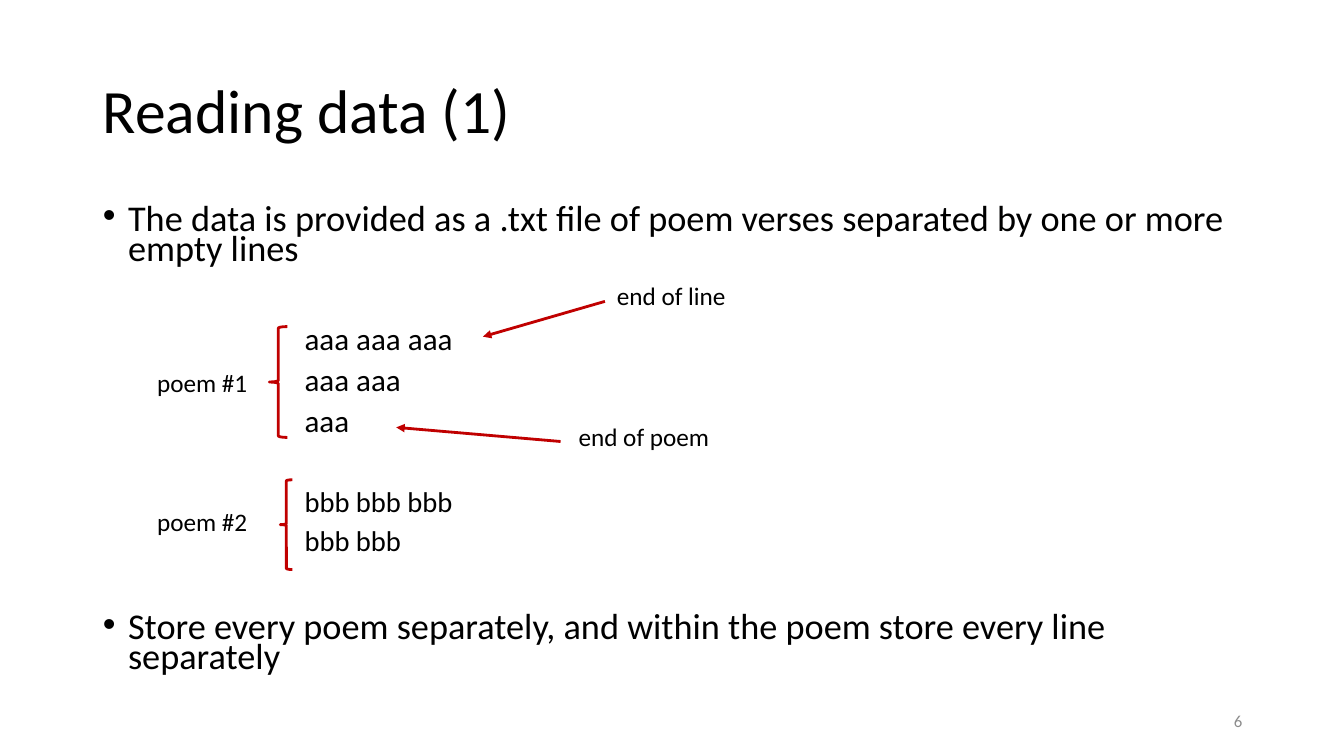
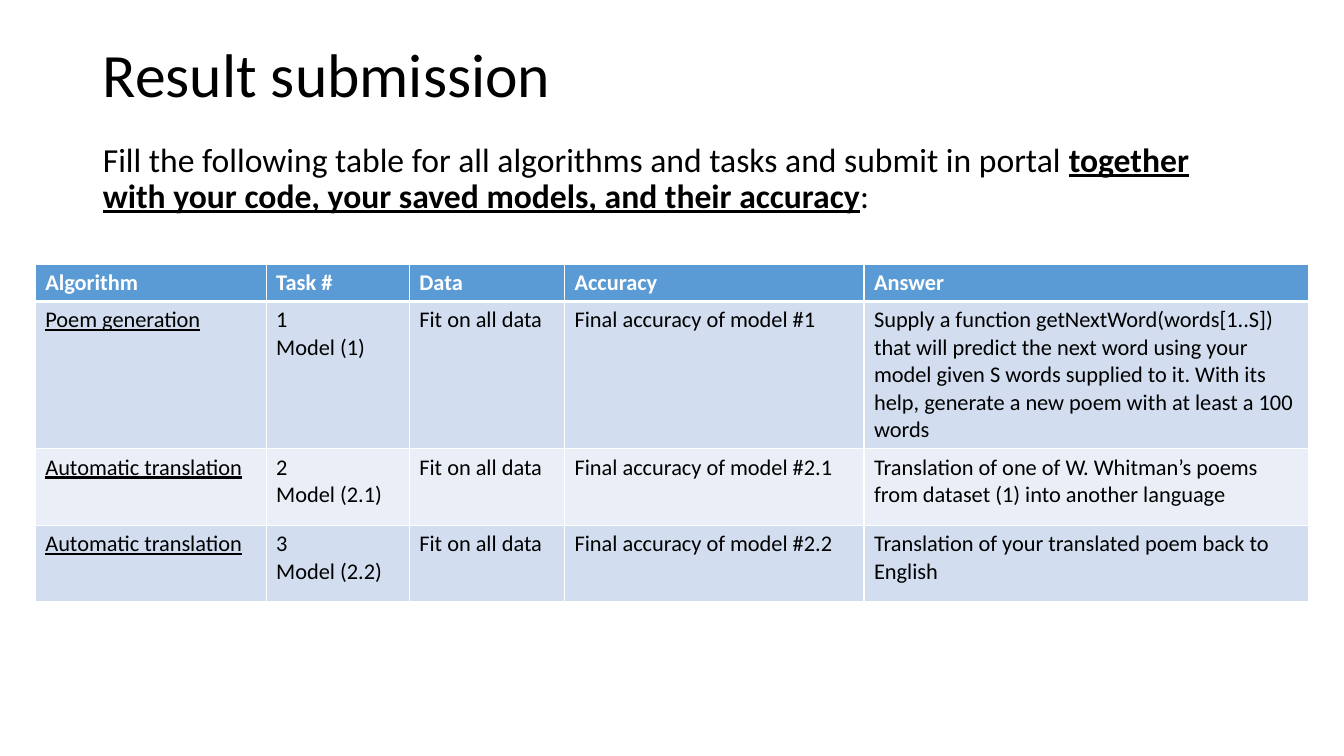
from dataclasses import dataclass
from typing import NamedTuple

from lxml import etree
from pptx import Presentation
from pptx import util as u
from pptx.dml.color import RGBColor
from pptx.enum import shapes, text
from pptx.oxml import ns

# Shared style
FONT = "Calibri"
BLACK = RGBColor(0x00, 0x00, 0x00)
WHITE = RGBColor(0xFF, 0xFF, 0xFF)
GREY = RGBColor(0x8C, 0x8C, 0x8C)
RED = RGBColor(0xC0, 0x00, 0x00)
HEADER_BLUE = RGBColor(0x5B, 0x9B, 0xD5)
BAND_COLORS = (RGBColor(0xD2, 0xDE, 0xEF), RGBColor(0xEA, 0xEF, 0xF7))
CONTENT_LEFT, CONTENT_WIDTH = 0.92, 11.5
TITLE_HEIGHT, BODY_HEIGHT = 1.45, 4.76


class Box(NamedTuple):
    left: float
    top: float
    width: float
    height: float

    def lengths(self) -> list:
        return [u.Inches(value) for value in self]


class Arrow(NamedTuple):
    start: tuple[float, float]
    end: tuple[float, float]


class Label(NamedTuple):
    wording: str
    box: Box


@dataclass
class Run:
    wording: str
    size: float
    color: RGBColor = BLACK
    bold: bool = False
    underline: bool = False


@dataclass
class BodyParagraph:
    runs: list[Run]
    space_before: float = 10
    line_spacing: float = 0.9
    indent: float = 0
    bullet: bool = False


def add_runs(paragraph, runs: list[Run]) -> None:
    for item in runs:
        run = paragraph.add_run()
        run.text = item.wording
        font = run.font
        font.name, font.size = FONT, u.Pt(item.size)
        font.bold, font.underline = item.bold, item.underline
        font.color.rgb = item.color


def place(shape, box: Box) -> None:
    shape.left, shape.top, shape.width, shape.height = box.lengths()


def add_titled_slide(presentation, title: str, title_top: float, body_top: float,
                     body: list[BodyParagraph]):
    slide = presentation.slides.add_slide(presentation.slide_layouts[1])
    heading, content = slide.shapes.title, slide.placeholders[1]
    place(heading, Box(CONTENT_LEFT, title_top, CONTENT_WIDTH, TITLE_HEIGHT))
    place(content, Box(CONTENT_LEFT, body_top, CONTENT_WIDTH, BODY_HEIGHT))
    for shape, anchor in ((heading, text.MSO_ANCHOR.MIDDLE), (content, text.MSO_ANCHOR.TOP)):
        shape.text_frame.auto_size = text.MSO_AUTO_SIZE.NONE
        shape.text_frame.vertical_anchor = anchor

    paragraph = heading.text_frame.paragraphs[0]
    paragraph.alignment = text.PP_ALIGN.LEFT
    paragraph.line_spacing = 0.9
    add_runs(paragraph, [Run(title, 44)])

    for index, item in enumerate(body):
        frame = content.text_frame
        paragraph = frame.add_paragraph() if index else frame.paragraphs[0]
        paragraph.line_spacing = item.line_spacing
        paragraph.space_before = u.Pt(item.space_before)
        properties = paragraph._p.get_or_add_pPr()
        properties.set("marL", str(u.Inches(item.indent)))
        properties.set("indent", str(-u.Inches(item.indent) if item.bullet else 0))
        if item.bullet:
            etree.SubElement(properties, ns.qn("a:buFont"), typeface="Arial")
            etree.SubElement(properties, ns.qn("a:buChar"), char="•")
        else:
            etree.SubElement(properties, ns.qn("a:buNone"))
        add_runs(paragraph, item.runs)
    return slide


def add_brace(slide, box: Box) -> None:
    brace = slide.shapes.add_shape(shapes.MSO_SHAPE.LEFT_BRACE, *box.lengths())
    brace.shadow.inherit = False
    brace.fill.background()
    brace.line.color.rgb, brace.line.width = RED, u.Pt(2)


def add_arrow(slide, arrow: Arrow) -> None:
    ends = [u.Inches(value) for value in arrow.start + arrow.end]
    connector = slide.shapes.add_connector(shapes.MSO_CONNECTOR.STRAIGHT, *ends)
    connector.line.color.rgb, connector.line.width = RED, u.Pt(2)
    properties = connector.element.spPr
    etree.SubElement(properties.find(ns.qn("a:ln")), ns.qn("a:tailEnd"), type="triangle")
    etree.SubElement(properties, ns.qn("a:effectLst"))


def add_label(slide, label: Label) -> None:
    frame = slide.shapes.add_textbox(*label.box.lengths()).text_frame
    frame.word_wrap = False
    frame.auto_size = text.MSO_AUTO_SIZE.SHAPE_TO_FIT_TEXT
    add_runs(frame.paragraphs[0], [Run(label.wording, 18)])


def add_slide_number(slide, number: int) -> None:
    frame = slide.shapes.add_textbox(*Box(9.42, 6.95, 3, 0.4).lengths()).text_frame
    frame.word_wrap = True
    frame.vertical_anchor = text.MSO_ANCHOR.MIDDLE
    frame.paragraphs[0].alignment = text.PP_ALIGN.RIGHT
    add_runs(frame.paragraphs[0], [Run(str(number), 12, GREY)])


def set_borders(cell, top: float, bottom: float) -> None:
    properties = cell._tc.get_or_add_tcPr()
    for side, width in (("L", 1), ("R", 1), ("T", top), ("B", bottom)):
        line = etree.SubElement(properties, ns.qn(f"a:ln{side}"), w=str(u.Pt(width)))
        fill = etree.SubElement(line, ns.qn("a:solidFill"))
        etree.SubElement(fill, ns.qn("a:srgbClr"), val=str(WHITE))


def add_result_table(slide, box: Box, widths: list[float], heights: list[float],
                     rows: list[list[str]]) -> None:
    table = slide.shapes.add_table(len(rows), len(widths), *box.lengths()).table
    table.horz_banding = False
    for column, width in zip(table.columns, widths):
        column.width = u.Inches(width)
    for row, height in zip(table.rows, heights):
        row.height = u.Inches(height)
    for row_index, row in enumerate(rows):
        header = row_index == 0
        for column_index, wording in enumerate(row):
            cell = table.cell(row_index, column_index)
            set_borders(cell, top=3 if row_index == 1 else 1, bottom=3 if header else 1)
            cell.fill.solid()
            cell.fill.fore_color.rgb = HEADER_BLUE if header else BAND_COLORS[(row_index - 1) % 2]
            for index, line in enumerate(wording.split("\n")):
                frame = cell.text_frame
                paragraph = frame.add_paragraph() if index else frame.paragraphs[0]
                add_runs(paragraph, [Run(line, 16, WHITE if header else BLACK, bold=header,
                                         underline=not header and column_index == 0)])


presentation = Presentation()
presentation.slide_width, presentation.slide_height = u.Inches(13.33), u.Inches(7.5)


# Slide: reading data
def reading_bullet(wording: str, space_before: float = 10) -> BodyParagraph:
    return BodyParagraph([Run(wording, 25.9)], space_before, 0.7, 0.25, bullet=True)


def verse(wording: str, size: float, space_before: float = 10) -> BodyParagraph:
    return BodyParagraph([Run(wording, size)], space_before, 0.7, 2)


reading = add_titled_slide(presentation, "Reading data (1)", 0.4, 2, [
    reading_bullet("The data is provided as a .txt file of poem verses separated by "
                   "one or more empty lines"),
    verse("aaa aaa aaa", 22.2, 44.3),
    verse("aaa aaa", 22.2, 10.9),
    verse("aaa", 22.2),
    verse("bbb bbb bbb", 20.4, 40),
    verse("bbb bbb", 20.4, 10.4),
    reading_bullet("Store every poem separately, and within the poem store every line "
                   "separately", 42.1),
])
add_slide_number(reading, 6)
for brace_box in (Box(2.67, 3.24, 0.18, 1.1), Box(2.78, 4.76, 0.12, 0.89)):
    add_brace(reading, brace_box)
for pointer in (Arrow((6, 2.99), (4.79, 3.34)), Arrow((5.56, 4.38), (3.93, 4.24))):
    add_arrow(reading, pointer)
for note in (
    Label("poem #1", Box(1.46, 3.59, 1.11, 0.4)),
    Label("poem #2", Box(1.46, 4.97, 1.11, 0.4)),
    Label("end of line", Box(6.02, 2.73, 1.3, 0.4)),
    Label("end of poem", Box(5.64, 4.13, 1.51, 0.4)),
):
    add_label(reading, note)

# Slide: result submission
submission = add_titled_slide(presentation, "Result submission", 0.04, 1.37, [
    BodyParagraph([
        Run("Fill the following table for all algorithms and tasks and submit in portal ", 24),
        Run("together with your code, your saved models, and their accuracy", 24,
            bold=True, underline=True),
        Run(":", 24),
    ]),
])
add_result_table(
    submission, Box(0.35, 2.62, 12.63, 3.35),
    widths=[2.29, 1.42, 1.54, 2.97, 4.41],
    heights=[0.37, 1.46, 0.76, 0.76],
    rows=[
        ["Algorithm", "Task #", "Data", "Accuracy", "Answer"],
        ["Poem generation", "1\nModel (1)", "Fit on all data", "Final accuracy of model #1",
         "Supply a function getNextWord(words[1..S]) that will predict the next word using "
         "your model given S words supplied to it. With its help, generate a new poem with "
         "at least a 100 words"],
        ["Automatic translation", "2\nModel (2.1)", "Fit on all data",
         "Final accuracy of model #2.1",
         "Translation of one of W. Whitman’s poems from dataset (1) into another language"],
        ["Automatic translation", "3\nModel (2.2)", "Fit on all data",
         "Final accuracy of model #2.2",
         "Translation of your translated poem back to English"],
    ],
)

presentation.save("out.pptx")
